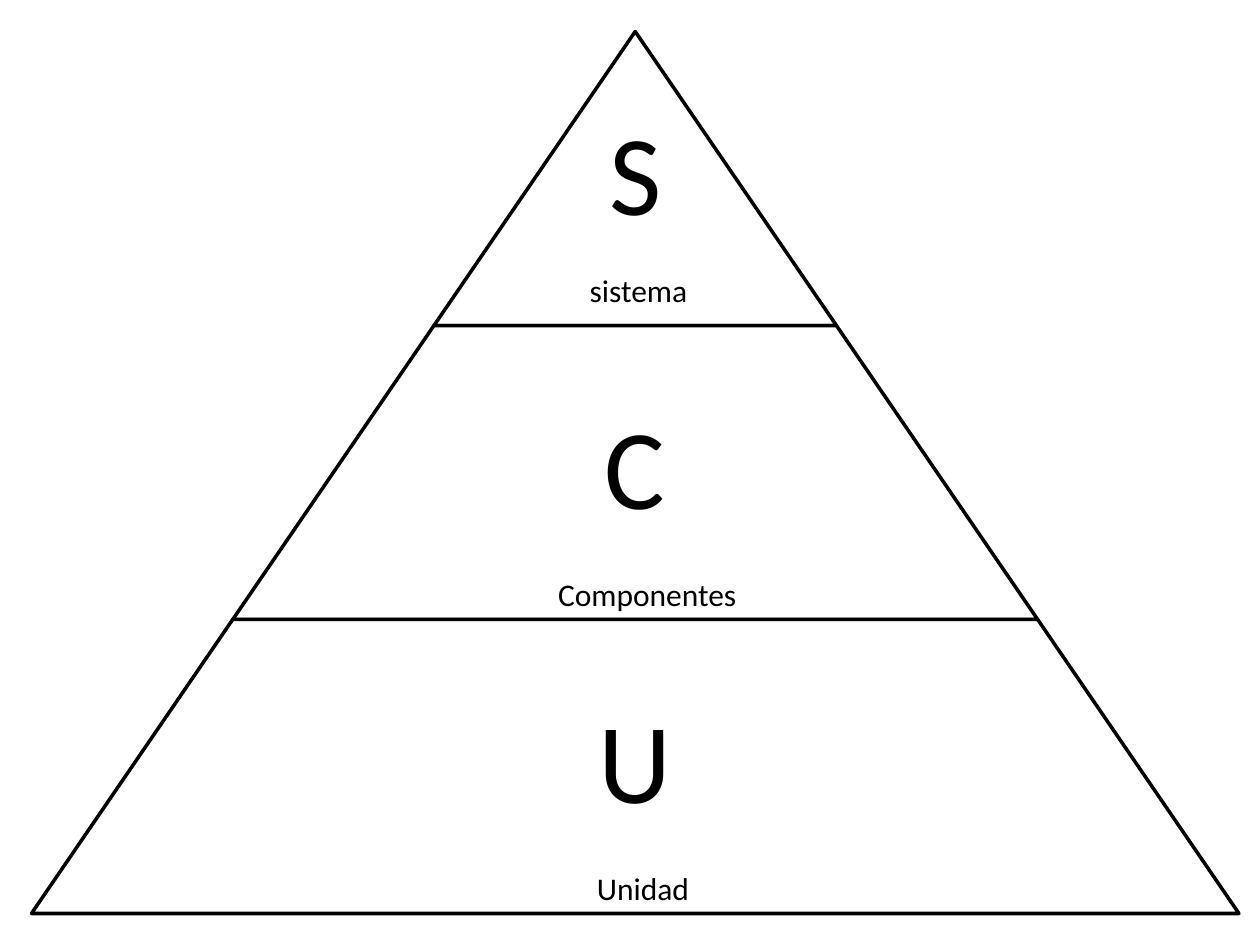
from pptx import Presentation
from pptx.dml.color import RGBColor
from pptx.enum import shapes, text
from pptx.util import Pt

BLACK = RGBColor(0x00, 0x00, 0x00)
WHITE = RGBColor(0xFF, 0xFF, 0xFF)
CENTER, TOP, TIER_H, STEP = 363, 18, 168, 230


class Pyramid:
    """Draws the tiers and labels of a pyramid on one slide."""

    font = "Calibri"

    def __init__(self, s):
        self.s = s

    def tier(self, level, letter):
        top, width = TOP + level * TIER_H, (level + 1) * STEP
        sp = self.s.shapes.add_shape(
            shapes.MSO_SHAPE.TRAPEZOID,
            Pt(CENTER - width / 2), Pt(top), Pt(width), Pt(TIER_H))
        sp.adjustments[0] = STEP / 2 / TIER_H
        sp.shadow.inherit = False
        sp.fill.solid()
        sp.fill.fore_color.rgb = WHITE
        sp.line.color.rgb = BLACK
        sp.line.width = Pt(2)

        inner = max(STEP, 0.65 * width)
        tf = self.text(letter, 65, CENTER - inner / 2, top, inner, TIER_H)
        tf.word_wrap = True
        tf.vertical_anchor = text.MSO_ANCHOR.MIDDLE
        tf.margin_left = tf.margin_right = tf.margin_top = tf.margin_bottom = Pt(6.5)
        p = tf.paragraphs[0]
        p.alignment = text.PP_ALIGN.CENTER
        p.line_spacing = 0.9

    def label(self, words, left, top, width):
        tf = self.text(words, 18, left, top, width, 29)
        tf.word_wrap = False
        tf.auto_size = text.MSO_AUTO_SIZE.SHAPE_TO_FIT_TEXT

    def text(self, words, size, left, top, width, height):
        sp = self.s.shapes.add_textbox(Pt(left), Pt(top), Pt(width), Pt(height))
        p = sp.text_frame.paragraphs[0]
        p.text = words
        p.font.name = self.font
        p.font.size = Pt(size)
        p.font.color.rgb = BLACK
        return sp.text_frame


def main():
    prs = Presentation()
    prs.slide_width, prs.slide_height = Pt(720), Pt(540)
    pyramid = Pyramid(prs.slides.add_slide(prs.slide_layouts[6]))
    for level, letter in enumerate("SCU"):
        pyramid.tier(level, letter)
    pyramid.label("sistema", 329.8, 151.2, 70.6)
    pyramid.label("Componentes", 311.8, 325, 117.4)
    pyramid.label("Unidad", 334, 493, 67.7)
    prs.save("out.pptx")


if __name__ == "__main__":
    main()
